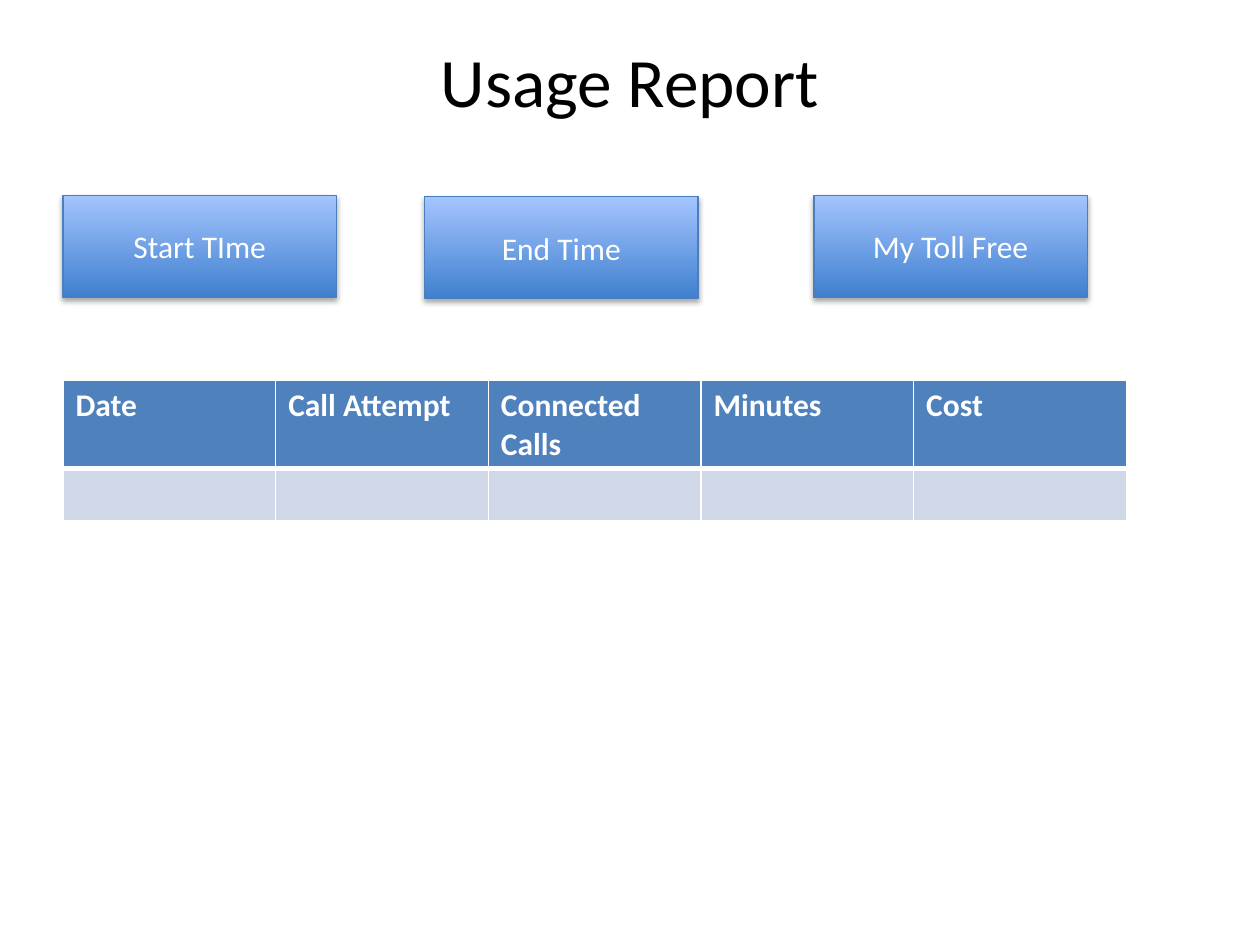
from lxml.etree import SubElement as Sub
from pptx import Presentation
from pptx.dml.color import RGBColor
from pptx.enum.shapes import MSO_SHAPE as Shape
from pptx.enum.text import MSO_ANCHOR as Anchor, PP_ALIGN as Align
from pptx.oxml.ns import qn
from pptx.util import Inches, Pt

WHITE = "FFFFFF"
HEADS = ["Date", "Call Attempt", "Connected Calls", "Minutes", "Cost"]
BUTTONS = [("Start TIme", 0.5, 1.55), ("End Time", 3.37, 1.56),
           ("My Toll Free", 6.46, 1.55)]


def paint(color, value):
    color.rgb = RGBColor.from_string(value)


def write(frame, text, size, color, align=Align.LEFT, bold=False):
    frame.word_wrap = True
    par = frame.paragraphs[0]
    par.text = text
    par.alignment = align
    par.font.size = Pt(size)
    for run in par.runs:
        font = run.font
        font.name, font.size, font.bold = "Calibri", Pt(size), bold
        paint(font.color, color)


def add_title(slide, text):
    box = slide.shapes.add_textbox(Inches(0.5), Inches(0.3), Inches(9), Inches(1.25))
    frame = box.text_frame
    frame.vertical_anchor = Anchor.TOP
    frame.margin_top = 0
    write(frame, text, 39.6, "000000", Align.CENTER)


def add_shadow(shape):
    shape.shadow.inherit = False
    effects = shape._element.spPr.find(qn("a:effectLst"))
    outer = Sub(effects, qn("a:outerShdw"), blurRad=str(Pt(3.1)),
                dist=str(Pt(1.8)), dir="5400000", rotWithShape="0")
    color = Sub(outer, qn("a:srgbClr"), val="000000")
    Sub(color, qn("a:alpha"), val="35000")


def add_button(slide, text, left, top):
    shape = slide.shapes.add_shape(
        Shape.RECTANGLE, Inches(left), Inches(top), Inches(2.17), Inches(0.81))
    fill = shape.fill
    fill.gradient()
    fill.gradient_angle = 90
    for stop, value, place in zip(fill.gradient_stops, ("3F80CE", "A4C4FF"), (0, 1)):
        paint(stop.color, value)
        stop.position = place
    paint(shape.line.color, "4B7EBC")
    shape.line.width = Pt(0.75)
    add_shadow(shape)
    shape.text_frame.vertical_anchor = Anchor.MIDDLE
    write(shape.text_frame, text, 18, WHITE, Align.CENTER)


def add_border(cell, side, width):
    props = cell._tc.get_or_add_tcPr()
    line = Sub(props, qn("a:ln" + side), w=str(Pt(width)))
    fill = Sub(line, qn("a:solidFill"))
    Sub(fill, qn("a:srgbClr"), val=WHITE)


def style_cell(cell, text, color, top, bottom):
    for side, width in (("L", 1), ("R", 1), ("T", top), ("B", bottom)):
        add_border(cell, side, width)
    cell.fill.solid()
    paint(cell.fill.fore_color, color)
    write(cell.text_frame, text, 18, WHITE, bold=True)


def add_grid(slide, heads):
    table = slide.shapes.add_table(
        2, len(heads), Inches(0.5), Inches(3.02), Inches(8.44), Inches(1.11)).table
    table.rows[0].height = Inches(0.7)
    table.rows[1].height = Inches(0.41)
    for col, head in enumerate(heads):
        style_cell(table.cell(0, col), head, "4F81BD", 1, 3)
        style_cell(table.cell(1, col), "", "D0D8E8", 3, 1)


def main():
    deck = Presentation()
    deck.slide_width, deck.slide_height = Inches(10), Inches(7.5)
    slide = deck.slides.add_slide(deck.slide_layouts[6])
    add_title(slide, "Usage Report")
    for text, left, top in BUTTONS:
        add_button(slide, text, left, top)
    add_grid(slide, HEADS)
    deck.save("out.pptx")


main()
